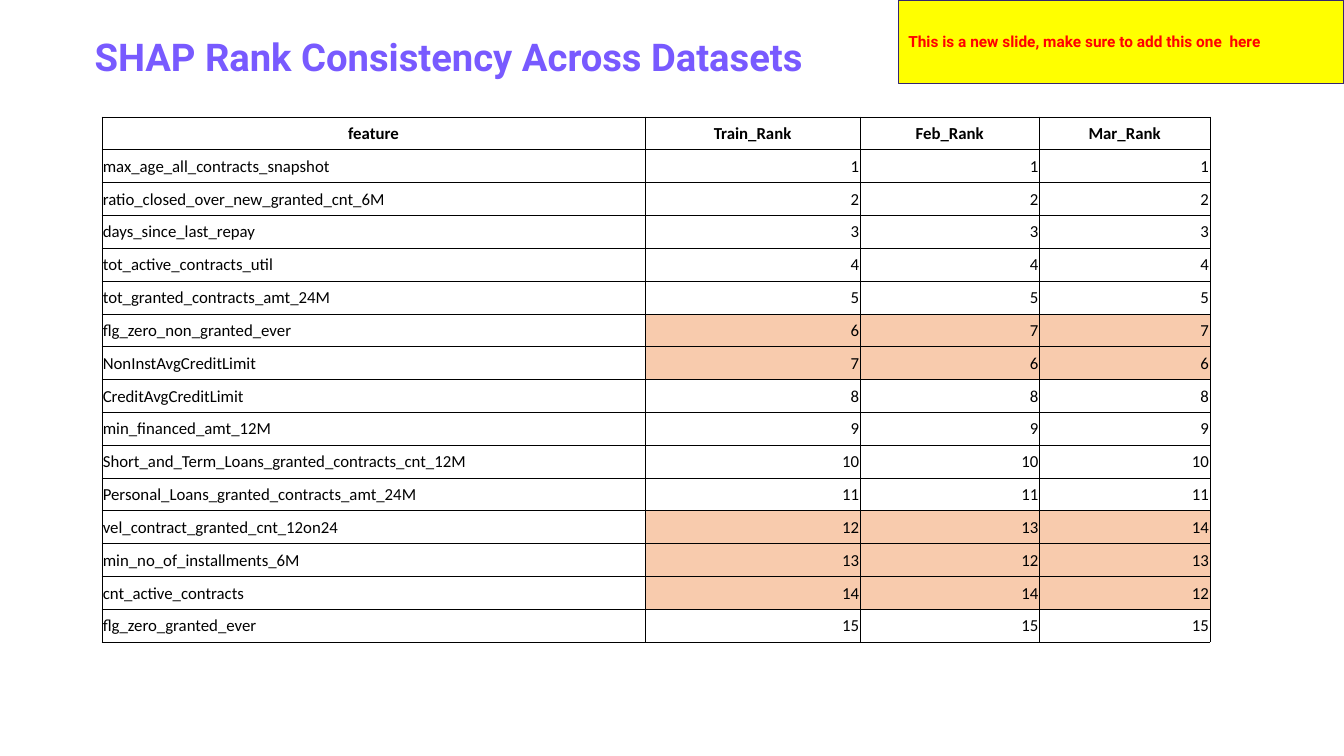
from lxml import etree
from pptx import Presentation
from pptx.dml.color import RGBColor
from pptx.enum.shapes import MSO_SHAPE
from pptx.enum.text import MSO_ANCHOR as Anchor, PP_ALIGN as Align
from pptx.oxml import parse_xml
from pptx.oxml.ns import nsdecls
from pptx.util import Inches, Pt

# Content
TITLE = "SHAP Rank Consistency Across Datasets"
REMINDER = "This is a new slide, make sure to add this one  here"
HEADER = ("feature", "Train_Rank", "Feb_Rank", "Mar_Rank")
FEATURE_RANKS = [
    ("max_age_all_contracts_snapshot", 1, 1, 1),
    ("ratio_closed_over_new_granted_cnt_6M", 2, 2, 2),
    ("days_since_last_repay", 3, 3, 3),
    ("tot_active_contracts_util", 4, 4, 4),
    ("tot_granted_contracts_amt_24M", 5, 5, 5),
    ("flg_zero_non_granted_ever", 6, 7, 7),
    ("NonInstAvgCreditLimit", 7, 6, 6),
    ("CreditAvgCreditLimit", 8, 8, 8),
    ("min_financed_amt_12M", 9, 9, 9),
    ("Short_and_Term_Loans_granted_contracts_cnt_12M", 10, 10, 10),
    ("Personal_Loans_granted_contracts_amt_24M", 11, 11, 11),
    ("vel_contract_granted_cnt_12on24", 12, 13, 14),
    ("min_no_of_installments_6M", 13, 12, 13),
    ("cnt_active_contracts", 14, 14, 12),
    ("flg_zero_granted_ever", 15, 15, 15),
]
COLUMN_WIDTHS = (5.39, 2.13, 1.78, 1.69)
TABLE_HEIGHT = 5.21
PURPLE, NAVY, BLACK = "785AFF", "352770", "000000"
YELLOW, RED, PEACH = "FFFF00", "FF0000", "F8CBAD"


def color(hex_code):
    return RGBColor.from_string(hex_code)


def write(frame, text, size, face, hex_code, bold=True, align=Align.LEFT):
    frame.text = text
    paragraph = frame.paragraphs[0]
    paragraph.alignment = align
    font = paragraph.runs[0].font
    font.size, font.name, font.bold = Pt(size), face, bold
    font.color.rgb = color(hex_code)
    return paragraph


def add_borders(cell):
    properties = cell._tc.get_or_add_tcPr()
    for side in ("lnL", "lnR", "lnT", "lnB"):
        border = parse_xml(f'<a:{side} {nsdecls("a")} w="{Pt(0.5)}"/>')
        fill = etree.SubElement(border, border.tag.replace(side, "solidFill"))
        etree.SubElement(fill, border.tag.replace(side, "srgbClr"), val=BLACK)
        properties.append(border)


def fill_cell(cell, text, bold, align, changed):
    cell.margin_left = cell.margin_right = cell.margin_top = Inches(0.01)
    cell.margin_bottom = 0
    cell.vertical_anchor = Anchor.MIDDLE
    write(cell.text_frame, text, 12, "Calibri", BLACK, bold, align)
    add_borders(cell)
    if changed:
        cell.fill.solid()
        cell.fill.fore_color.rgb = color(PEACH)
    else:
        cell.fill.background()


def add_title(slide):
    title = slide.shapes.add_textbox(Inches(0.84), Inches(0.12), Inches(12.57), Inches(0.71))
    title.text_frame.word_wrap = True
    title.text_frame.vertical_anchor = Anchor.BOTTOM
    write(title.text_frame, TITLE, 27.3, "Roboto", PURPLE).line_spacing = 1.5


def add_rank_table(slide):
    rows = [HEADER] + FEATURE_RANKS
    ranks = slide.shapes.add_table(
        len(rows), len(HEADER), Inches(1.01), Inches(1.16),
        Inches(sum(COLUMN_WIDTHS)), Inches(TABLE_HEIGHT)).table
    ranks.first_row = ranks.horz_banding = False
    for column, width in zip(ranks.columns, COLUMN_WIDTHS):
        column.width = Inches(width)
    for r, row in enumerate(rows):
        ranks.rows[r].height = Inches(TABLE_HEIGHT / len(rows))
        # Highlight ranks that differ between datasets
        unstable = r > 0 and len(set(row[1:])) > 1
        for c, value in enumerate(row):
            align = Align.CENTER if r == 0 else Align.RIGHT if c else Align.LEFT
            fill_cell(ranks.cell(r, c), str(value), r == 0, align, unstable and c > 0)


def add_reminder(slide):
    reminder = slide.shapes.add_shape(
        MSO_SHAPE.RECTANGLE, Inches(8.91), 0, Inches(4.42), Inches(0.83))
    reminder.shadow.inherit = False
    reminder.fill.solid()
    reminder.fill.fore_color.rgb = color(YELLOW)
    reminder.line.color.rgb = color(NAVY)
    reminder.line.width = Pt(1)
    reminder.text_frame.word_wrap = True
    reminder.text_frame.vertical_anchor = Anchor.MIDDLE
    write(reminder.text_frame, REMINDER, 11, "Roboto", RED)


def main():
    deck = Presentation()
    deck.slide_width, deck.slide_height = Inches(13.33), Inches(7.5)
    slide = deck.slides.add_slide(deck.slide_layouts[6])
    add_title(slide)
    add_rank_table(slide)
    add_reminder(slide)
    deck.save("out.pptx")


if __name__ == "__main__":
    main()
